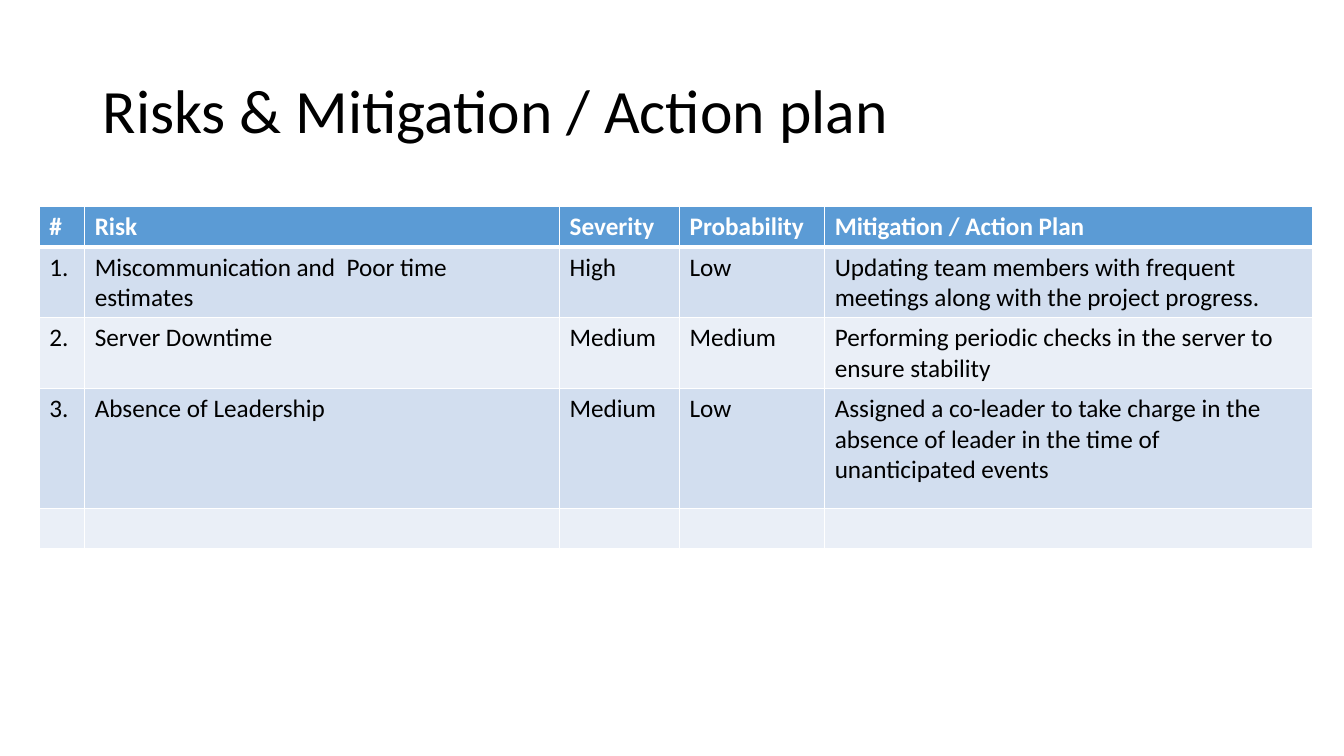
from lxml import etree
from pptx import Presentation
from pptx.dml.color import RGBColor
from pptx.enum.text import MSO_ANCHOR
from pptx.oxml.ns import qn
from pptx.util import Inches, Pt

MIDDLE = MSO_ANCHOR.MIDDLE
BLANK_LAYOUT = 6
COLORS = {"header": "5B9BD5", "odd": "D2DEEF", "even": "EAEFF7",
          "white": "FFFFFF", "black": "000000"}
TITLE_FORMAT = {"name": "Calibri", "size": Pt(44)}
HEADER_FORMAT = {"name": "Calibri", "size": Pt(18), "bold": True}
BODY_FORMAT = {"name": "Calibri", "size": Pt(18), "bold": False}

COLUMN_WIDTHS = [0.45, 4.71, 1.19, 1.44, 4.84]
ROW_HEIGHTS = [0.38, 0.62, 0.62, 1.19, 0.38]
RISKS = [
    ["#", "Risk", "Severity", "Probability", "Mitigation / Action Plan"],
    ["1.", "Miscommunication and  Poor time estimates", "High", "Low",
     "Updating team members with frequent meetings along with the project progress."],
    ["2.", "Server Downtime", "Medium", "Medium",
     "Performing periodic checks in the server to ensure stability"],
    ["3.", "Absence of Leadership", "Medium", "Low",
     "Assigned a co-leader to take charge in the absence of leader "
     "in the time of unanticipated events"],
    [""] * 5,
]


def write(paragraph, text, formats, color):
    span = paragraph.add_run()
    span.text = text
    for name, value in formats.items():
        setattr(span.font, name, value)
    span.font.color.rgb = RGBColor.from_string(COLORS[color])


def add_border(cell, side, points):
    line = etree.SubElement(cell._tc.get_or_add_tcPr(), qn(f"a:{side}"), w=str(Pt(points)))
    fill = etree.SubElement(line, qn("a:solidFill"))
    etree.SubElement(fill, qn("a:srgbClr"), val=COLORS["white"])


deck = Presentation()
deck.slide_width = Inches(13.33)
deck.slide_height = Inches(7.5)
page = deck.slides.add_slide(deck.slide_layouts[BLANK_LAYOUT])

# Title
box = page.shapes.add_textbox(Inches(0.92), Inches(0.4), Inches(11.5), Inches(1.45))
box.text_frame.word_wrap = True
box.text_frame.vertical_anchor = MIDDLE
title = box.text_frame.paragraphs[0]
title.line_spacing = 0.9
write(title, "Risks & Mitigation / Action plan", TITLE_FORMAT, "black")

# Risk table
table = page.shapes.add_table(
    len(ROW_HEIGHTS), len(COLUMN_WIDTHS), Inches(0.39), Inches(2.05),
    Inches(sum(COLUMN_WIDTHS)), Inches(sum(ROW_HEIGHTS))).table
for column, width in zip(table.columns, COLUMN_WIDTHS):
    column.width = Inches(width)
for row, height in zip(table.rows, ROW_HEIGHTS):
    row.height = Inches(height)

# Cells: header row, then alternating bands
for row_index, texts in enumerate(RISKS):
    is_header = row_index == 0
    band = "header" if is_header else ("even", "odd")[row_index % 2]
    borders = {"lnL": 1, "lnR": 1, "lnT": 3 if row_index == 1 else 1,
               "lnB": 3 if is_header else 1}
    for column_index, text in enumerate(texts):
        cell = table.cell(row_index, column_index)
        for side, points in borders.items():
            add_border(cell, side, points)
        cell.fill.solid()
        cell.fill.fore_color.rgb = RGBColor.from_string(COLORS[band])
        if text:
            write(cell.text_frame.paragraphs[0], text,
                  HEADER_FORMAT if is_header else BODY_FORMAT,
                  "white" if is_header else "black")

deck.save("out.pptx")
